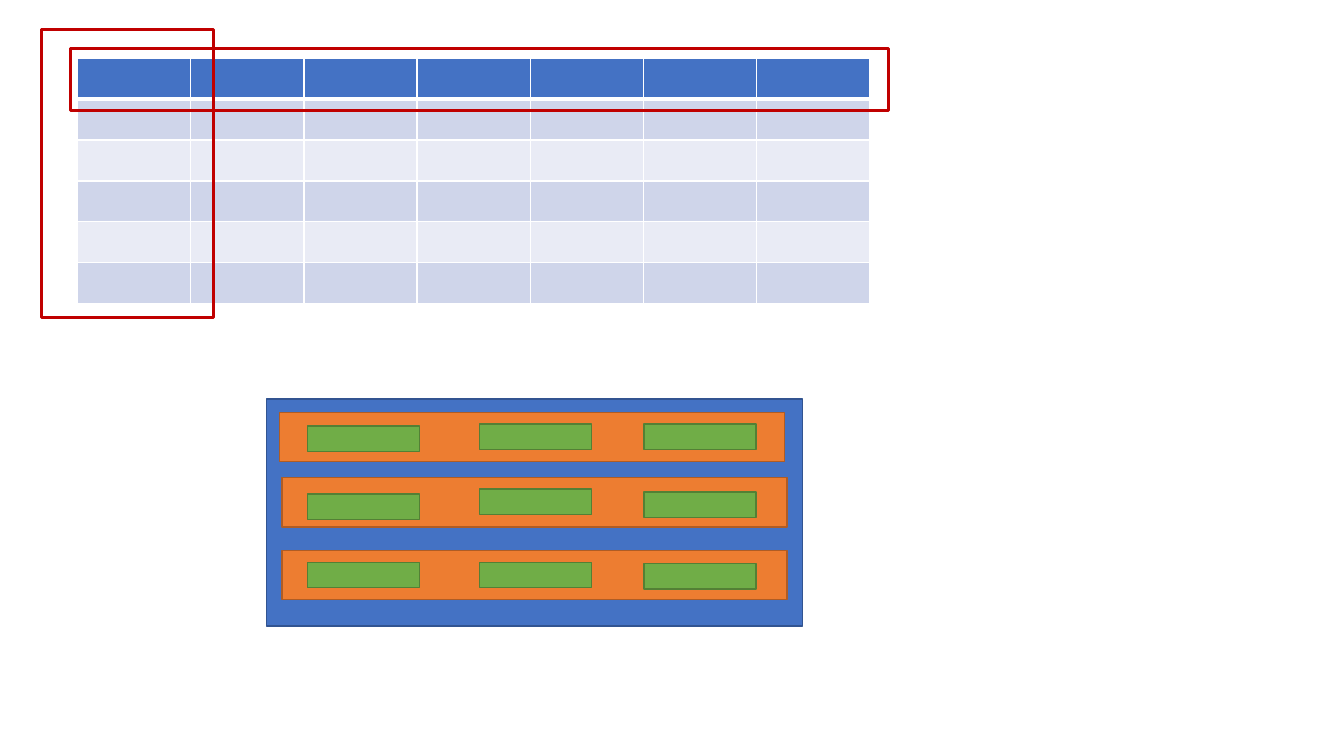
from lxml import etree
from pptx import Presentation
from pptx.dml.color import RGBColor
from pptx.enum.shapes import MSO_SHAPE
from pptx.oxml.ns import qn
from pptx.util import Cm, Pt

RECTANGLE = MSO_SHAPE.RECTANGLE
COLORS = {
    "header": "4472C4", "odd_row": "CFD5EA", "even_row": "E9EBF5", "grid": "FFFFFF",
    "frame": "C00000",
    "panel": "4472C4", "panel_edge": "325491",
    "bar": "ED7D31", "bar_edge": "AF5C24",
    "tile": "70AD47", "tile_edge": "538035",
}


def add_box(left, top, width, height, fill, edge, weight):
    box = slide.shapes.add_shape(RECTANGLE, Cm(left), Cm(top), Cm(width), Cm(height))
    box.shadow.inherit = False
    if fill:
        box.fill.solid()
        box.fill.fore_color.rgb = RGBColor.from_string(COLORS[fill])
    else:
        box.fill.background()
    box.line.color.rgb = RGBColor.from_string(COLORS[edge])
    box.line.width = Pt(weight)


def add_border(cell, side, weight):
    border = etree.SubElement(cell._tc.get_or_add_tcPr(), qn(f"a:ln{side}"), w=str(Pt(weight)))
    paint = etree.SubElement(border, qn("a:solidFill"))
    etree.SubElement(paint, qn("a:srgbClr"), val=COLORS["grid"])


deck = Presentation()
deck.slide_width = Cm(33.87)
deck.slide_height = Cm(19.05)
slide = deck.slides.add_slide(deck.slide_layouts[6])

row_count, column_count = 6, 7
column_width, row_height = 2.85, 1.03
grid = slide.shapes.add_table(
    row_count, column_count, Cm(1.96), Cm(1.47),
    Cm(column_width * column_count), Cm(row_height * row_count),
).table
for column in grid.columns:
    column.width = Cm(column_width)
for row_index, row in enumerate(grid.rows):
    row.height = Cm(row_height)
    if row_index == 0:
        row_color = "header"
    else:
        row_color = "odd_row" if row_index % 2 else "even_row"
    border_weights = {
        "L": 1, "R": 1,
        "T": 3 if row_index == 1 else 1,
        "B": 3 if row_index == 0 else 1,
    }
    for cell in row.cells:
        for side, weight in border_weights.items():
            add_border(cell, side, weight)
        cell.fill.solid()
        cell.fill.fore_color.rgb = RGBColor.from_string(COLORS[row_color])
        cell.text_frame.paragraphs[0].font.size = Pt(18)
        cell.text_frame.paragraphs[0].font.name = "Calibri"

header_frame = (1.78, 1.22, 20.62, 1.57)
first_column_frame = (1.04, 0.74, 4.34, 7.26)
for frame in (header_frame, first_column_frame):
    add_box(*frame, None, "frame", 2.25)

add_box(6.71, 10.06, 13.51, 5.72, "panel", "panel_edge", 1)

tile_lefts = (7.75, 12.09, 16.23)
bars = [
    (7.04, 10.39, (10.74, 10.69, 10.69)),
    (7.11, 12.04, (12.45, 12.32, 12.4)),
    (7.11, 13.87, (14.17, 14.17, 14.2)),
]
for bar_left, bar_top, tile_tops in bars:
    add_box(bar_left, bar_top, 12.73, 1.24, "bar", "bar_edge", 1)
    for tile_left, tile_top in zip(tile_lefts, tile_tops):
        add_box(tile_left, tile_top, 2.82, 0.64, "tile", "tile_edge", 1)

deck.save("out.pptx")
